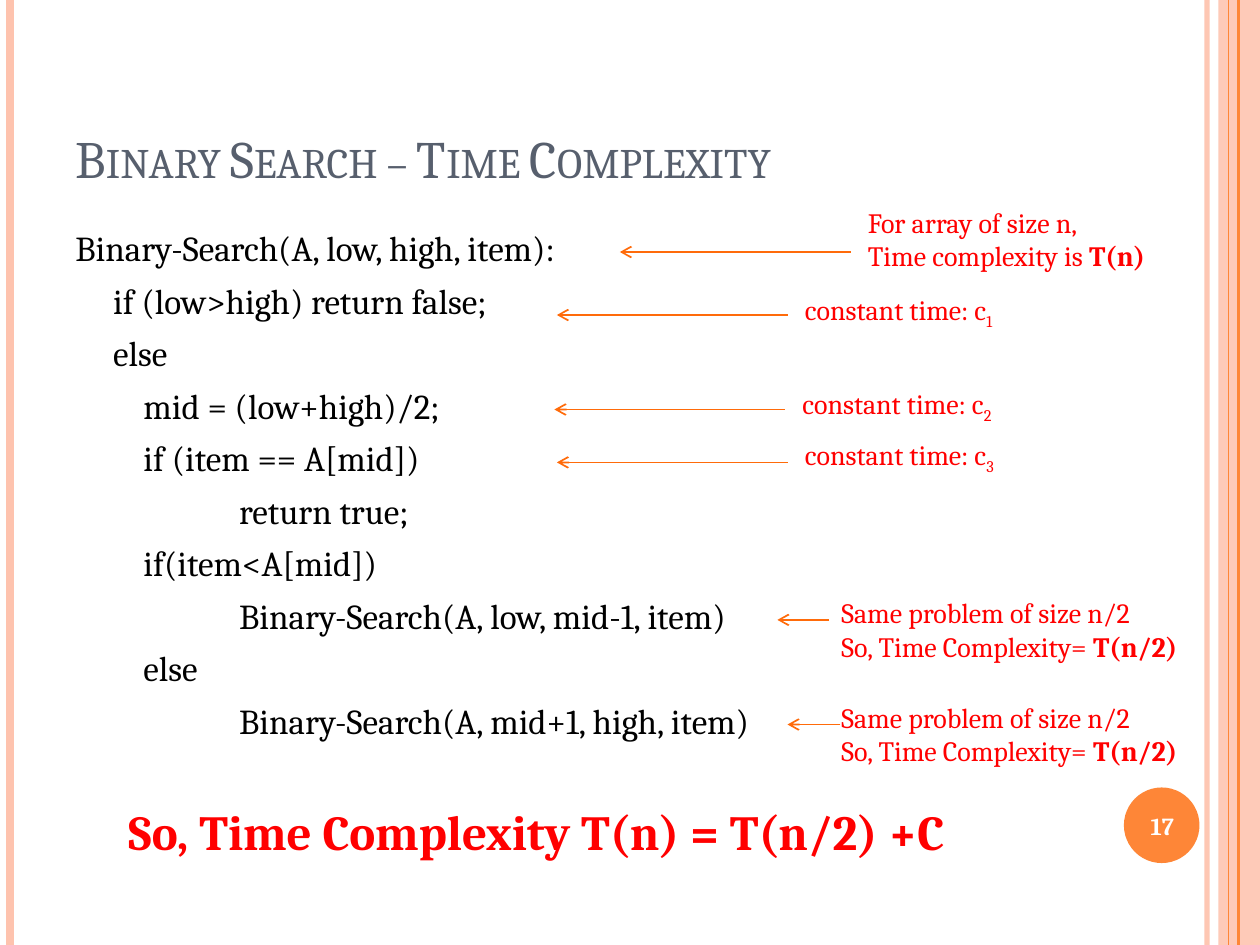
from typing import NamedTuple

from lxml import etree
from pptx import Presentation
from pptx import util as u
from pptx.dml.color import RGBColor
from pptx.enum import shapes, text
from pptx.oxml.ns import qn

FONT = "Cambria"
COLORS = {
    "title": "575F6D",
    "code": "000000",
    "note": "FF0000",
    "arrow": "FF6B0A",
    "orange": "FE8637",
    "peach": "FEC3AE",
    "white": "FFFFFF",
}


class Rail(NamedTuple):
    x: float
    color: str
    width: float
    opacity: int = 100


class CodeLine(NamedTuple):
    words: str
    indent: float


class Run(NamedTuple):
    words: str
    bold: bool = False
    subscript: bool = False


class Note(NamedTuple):
    """A remark in red, as paragraphs of runs."""
    box: tuple[float, float, float, float]
    lines: list[list[Run]]


class Arrow(NamedTuple):
    start: float
    end: float
    y: float


RAILS = [
    Rail(9.58, "peach", 3, 93),
    Rail(0.08, "peach", 4.5),
    Rail(9.83, "orange", 1.5),
    Rail(9.75, "orange", 0.75),
]
OUTER, BRANCH, BODY, NESTED = 0, 0.3, 0.54, 1.3
CODE = [
    CodeLine("Binary-Search(A, low, high, item):", OUTER),
    CodeLine("if (low>high) return false;", BRANCH),
    CodeLine("else", BRANCH),
    CodeLine("mid = (low+high)/2;", BODY),
    CodeLine("if (item == A[mid])", BODY),
    CodeLine("return true;", NESTED),
    CodeLine("if(item<A[mid])", BODY),
    CodeLine("Binary-Search(A, low, mid-1, item)", NESTED),
    CodeLine("else", BODY),
    CodeLine("Binary-Search(A, mid+1, high, item)", NESTED),
]
HALF_SIZE = [
    [Run("Same problem of size n/2")],
    [Run("So, Time Complexity= "), Run("T(n/2)", bold=True)],
]
NOTES = [
    Note((6.79, 1.58, 2.71, 0.64), [
        [Run("For array of size n,")],
        [Run("Time complexity is "), Run("T(n)", bold=True)],
    ]),
    *[
        Note((x, y, 1.93, 0.37),
             [[Run("constant time: c"), Run(str(i), subscript=True)]])
        for i, (x, y) in enumerate([(6.29, 2.27), (6.27, 3.02), (6.29, 3.42)], 1)
    ],
    Note((6.58, 4.68, 3.31, 0.64), HALF_SIZE),
    Note((6.58, 5.51, 3.25, 0.64), HALF_SIZE),
]
ARROWS = [
    Arrow(6.75, 4.92, 2),
    Arrow(6.25, 4.42, 2.5),
    Arrow(6.23, 4.4, 3.25),
    Arrow(6.25, 4.42, 3.67),
    Arrow(6.58, 6.17, 4.92),
    Arrow(6.67, 6.25, 5.75),
]


def rgb(name: str) -> RGBColor:
    return RGBColor.from_string(COLORS[name])


def set_opacity(element, percent: int) -> None:
    """Make the first solid colour inside element partly transparent."""
    color = next(element.iter(qn("a:srgbClr")))
    etree.SubElement(color, qn("a:alpha")).set("val", str(percent * 1000))


def add_line(slide, start, end, color: str, width: float):
    line = slide.shapes.add_connector(
        shapes.MSO_CONNECTOR.STRAIGHT, *map(u.Inches, (*start, *end)))
    line.line.color.rgb = rgb(color)
    line.line.width = u.Pt(width)
    etree.SubElement(line._element.spPr, qn("a:effectLst"))
    return line


def add_rail(slide, rail: Rail) -> None:
    line = add_line(slide, (rail.x, 0), (rail.x, 7.5), rail.color, rail.width)
    if rail.opacity < 100:
        set_opacity(line._element.spPr, rail.opacity)


def add_arrow(slide, arrow: Arrow) -> None:
    line = add_line(slide, (arrow.start, arrow.y), (arrow.end, arrow.y), "arrow", 1)
    ln = line.line._get_or_add_ln()
    etree.SubElement(ln, qn("a:tailEnd")).set("type", "arrow")


def add_plain_shape(slide, kind, box, color: str):
    sp = slide.shapes.add_shape(kind, *map(u.Inches, box))
    sp.shadow.inherit = False
    sp.fill.solid()
    sp.fill.fore_color.rgb = rgb(color)
    sp.line.fill.background()
    return sp


def add_run(p, words: str, *, size: float, color: str, bold: bool = False,
            subscript: bool = False, small_caps: bool = False) -> None:
    r = p.add_run()
    r.text = words
    r.font.name = FONT
    r.font.size = u.Pt(size)
    r.font.bold = bold
    r.font.color.rgb = rgb(color)
    if subscript:
        r.font._element.set("baseline", "-25000")
    if small_caps:
        r.font._element.set("cap", "small")


def add_text(slide, box, lines: list[list[Run]], *, size: float, color: str,
             wrap: bool = False, align=text.PP_ALIGN.LEFT,
             anchor=text.MSO_ANCHOR.TOP, space_before: float = 0):
    tf = slide.shapes.add_textbox(*map(u.Inches, box)).text_frame
    tf.word_wrap = wrap
    tf.auto_size = (text.MSO_AUTO_SIZE.NONE if wrap
                    else text.MSO_AUTO_SIZE.SHAPE_TO_FIT_TEXT)
    tf.vertical_anchor = anchor
    for i, runs in enumerate(lines):
        p = tf.add_paragraph() if i else tf.paragraphs[0]
        p.alignment = align
        p.space_before = u.Pt(space_before)
        for run in runs:
            add_run(p, run.words, size=size, color=color,
                    bold=run.bold, subscript=run.subscript)
    return tf


def set_title(slide, words: str) -> None:
    sp = slide.shapes.title
    sp.left, sp.top, sp.width, sp.height = map(u.Inches, (0.5, 0.3, 8.17, 1.25))
    tf = sp.text_frame
    tf.auto_size = text.MSO_AUTO_SIZE.NONE
    tf.vertical_anchor = text.MSO_ANCHOR.BOTTOM
    p = tf.paragraphs[0]
    p.alignment = text.PP_ALIGN.LEFT
    add_run(p, words, size=30, color="title", small_caps=True)


def add_code(slide) -> None:
    tf = add_text(slide, (0.5, 1.75, 8.17, 5.33), [[Run(c.words)] for c in CODE],
                  size=20, color="code", wrap=True, space_before=6)
    for p, line in zip(tf.paragraphs, CODE):
        p._p.get_or_add_pPr().set("marL", str(u.Inches(line.indent)))


def main() -> None:
    prs = Presentation()
    prs.slide_width, prs.slide_height = u.Inches(10), u.Inches(7.5)
    slide = prs.slides.add_slide(prs.slide_layouts[5])

    band = add_plain_shape(slide, shapes.MSO_SHAPE.RECTANGLE,
                           (9.67, 0, 0.33, 7.5), "peach")
    set_opacity(band._element.spPr, 87)
    for rail in RAILS:
        add_rail(slide, rail)
    add_plain_shape(slide, shapes.MSO_SHAPE.OVAL, (8.92, 6.25, 0.6, 0.6), "orange")

    set_title(slide, "Binary Search – Time Complexity")
    add_code(slide)
    for note in NOTES:
        add_text(slide, note.box, note.lines, size=16, color="note")
    for arrow in ARROWS:
        add_arrow(slide, arrow)
    add_text(slide, (0.92, 6.31, 7.69, 0.57),
             [[Run("So, Time Complexity T(n) = T(n/2) +C", bold=True)]],
             size=28, color="note")
    add_text(slide, (8.89, 6.27, 0.67, 0.57), [[Run("17", bold=True)]],
             size=14, color="white", wrap=True, align=text.PP_ALIGN.CENTER,
             anchor=text.MSO_ANCHOR.MIDDLE)
    prs.save("out.pptx")


if __name__ == "__main__":
    main()
